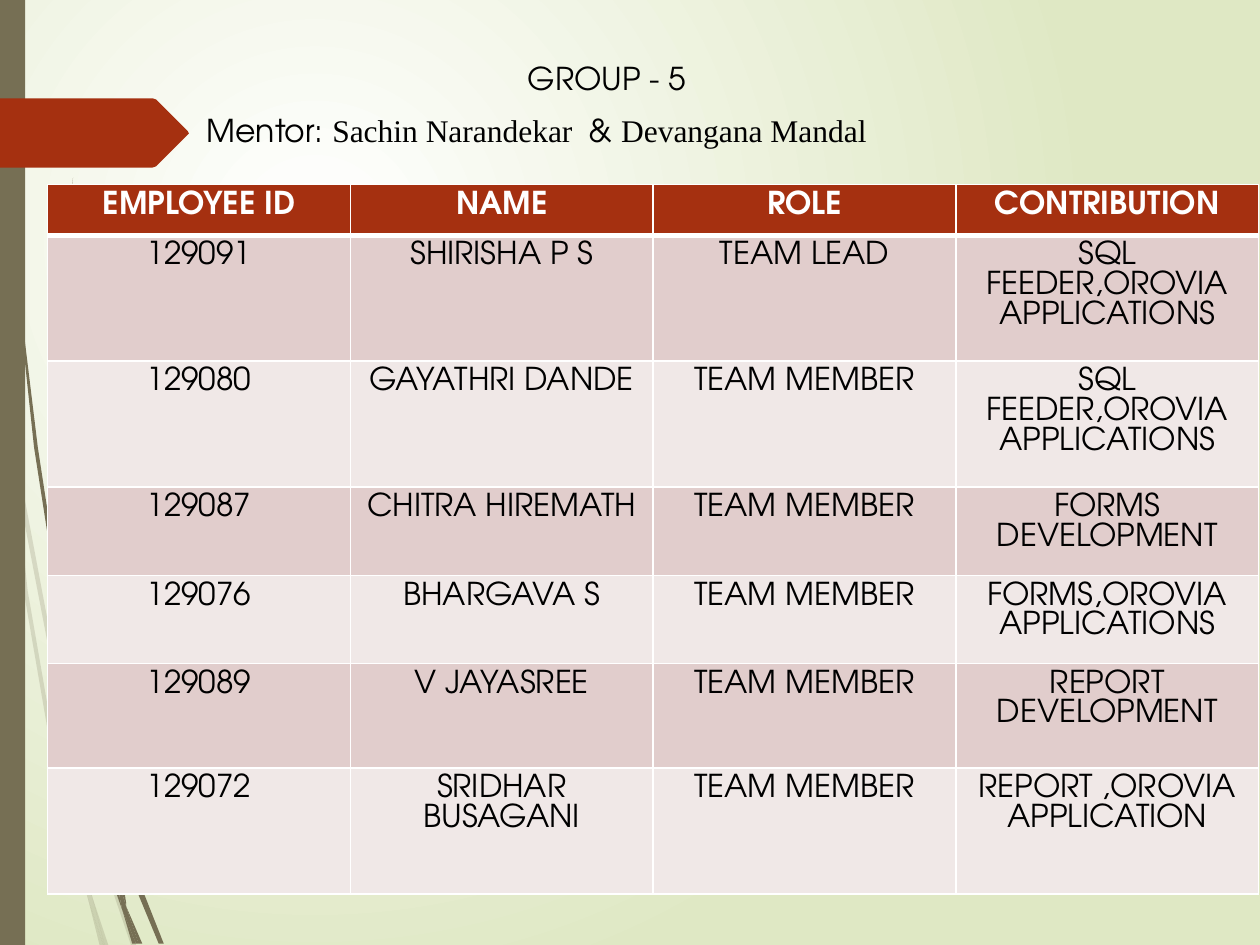
from lxml import etree
from pptx import Presentation
from pptx.dml.color import RGBColor
from pptx.enum.shapes import MSO_SHAPE as Shape
from pptx.enum.text import PP_ALIGN as Align
from pptx.oxml import parse_xml
from pptx.oxml.ns import nsdecls, qn
from pptx.util import Pt

COLORS = {
    "white": "FFFFFF", "black": "000000", "meadow": "DFE8C4", "olive": "766F54",
    "rust": "A53010", "rose": "E1CDCC", "blush": "F0E8E7",
}
SANS, SERIF = "TeX Gyre Adventor", "Times New Roman"
HUNDREDTH_INCH = Pt(0.72)

PALE_WISPS = [
    [(8, 350), (6, 322), (0, 282), (0, 299), (7, 344)],
    [(40, 522), (59, 599), (59, 586), (43, 520), (10, 345), (12, 376)],
    [(64, 607), (61, 596), (61, 610), (85, 694), (104, 750), (108, 750), (88, 692)],
    [(83, 750), (86, 750), (73, 711)],
    [(64, 683), (48, 619), (22, 469), (12, 376), (8, 350), (19, 470), (45, 621),
     (64, 693), (70, 714), (69, 707)],
    [(58, 599), (60, 646), (64, 683), (67, 692), (73, 711), (72, 706), (63, 646),
     (61, 610), (61, 608)],
    [(61, 584), (76, 462), (111, 349), (159, 245), (187, 198), (201, 175), (217, 154),
     (217, 153), (201, 175), (186, 197), (158, 244), (110, 348), (75, 461), (59, 584),
     (59, 586), (61, 596)],
    [(70, 714), (79, 750), (82, 750)],
    [(61, 608), (61, 610), (61, 596), (59, 586), (58, 599)],
    [(67, 692), (65, 683), (69, 707), (70, 714), (82, 750), (83, 750), (73, 711)],
]
DARK_WISPS = [
    [(5, 110), (14, 233), (27, 355), (46, 477), (47, 481), (45, 457), (45, 453),
     (30, 355), (15, 232), (6, 109), (4, 48), (3, 0), (2, 0), (3, 48)],
    [(73, 592), (88, 645), (88, 633), (88, 631), (77, 590), (50, 472), (53, 505)],
    [(94, 649), (91, 641), (91, 656), (109, 708), (126, 749), (130, 749), (113, 706)],
    [(91, 691), (81, 657), (60, 556), (53, 505), (47, 477), (56, 557), (77, 659),
     (92, 708), (97, 722), (96, 717)],
    [(50, 472), (48, 453), (44, 349), (48, 245), (52, 193), (58, 141), (51, 193),
     (47, 245), (43, 349), (45, 449), (49, 472)],
    [(110, 749), (113, 749), (100, 719)],
    [(47, 477), (53, 505), (50, 472), (49, 472), (45, 449), (45, 453)],
    [(91, 633), (103, 552), (131, 476), (169, 406), (191, 374), (203, 359), (216, 344),
     (215, 344), (203, 358), (191, 373), (168, 405), (129, 474), (101, 551), (88, 631),
     (91, 641)],
    [(97, 722), (105, 749), (108, 749)],
    [(88, 645), (91, 691), (96, 706), (100, 719), (100, 716), (91, 656), (90, 651)],
    [(88, 645), (90, 651), (91, 656), (91, 641), (88, 631), (88, 633)],
    [(96, 706), (91, 691), (96, 717), (97, 722), (108, 749), (110, 749), (100, 719)],
]
ARROW_TAG = [(0, 78), (121, 78), (124, 79), (149, 104), (150, 106), (149, 107),
             (124, 132), (121, 133), (0, 133)]

ROWS = [
    ("EMPLOYEE ID", "NAME", "ROLE", "CONTRIBUTION"),
    ("129091", "SHIRISHA P S", "TEAM LEAD", "SQL FEEDER,OROVIA APPLICATIONS"),
    ("129080", "GAYATHRI DANDE", "TEAM MEMBER", "SQL FEEDER,OROVIA APPLICATIONS"),
    ("129087", "CHITRA HIREMATH", "TEAM MEMBER", "FORMS DEVELOPMENT"),
    ("129076", "BHARGAVA S", "TEAM MEMBER", "FORMS,OROVIA APPLICATIONS"),
    ("129089", "V JAYASREE", "TEAM MEMBER", "REPORT DEVELOPMENT"),
    ("129072", "SRIDHAR BUSAGANI", "TEAM MEMBER", "REPORT ,OROVIA APPLICATION"),
]
ROW_HEIGHTS = [29, 72, 72, 50.4, 50.4, 59.8, 72]
COLUMN_WIDTH = 173

HEADINGS = [
    (294.5, 30.2, 185, [("GROUP - 5", SANS)]),
    (110.9, 59.8, 600, [("Mentor: ", SANS), ("Sachin Narandekar  ", SERIF),
                        ("& ", SANS), ("Devangana Mandal", SERIF)]),
]


def paint(shape, color):
    shape.shadow.inherit = False
    shape.fill.solid()
    shape.fill.fore_color.rgb = RGBColor.from_string(COLORS[color])
    shape.line.fill.background()


def draw_outline(shapes, points, color):
    builder = shapes.build_freeform(*points[0], scale=HUNDREDTH_INCH)
    builder.add_line_segments(points[1:], close=True)
    outline = builder.convert_to_shape()
    paint(outline, color)
    return outline


deck = Presentation()
deck.slide_width, deck.slide_height = Pt(720), Pt(540)
page = deck.slides.add_slide(deck.slide_layouts[6])

backdrop = page.background.fill
backdrop.gradient()
for stop, color in zip(backdrop.gradient_stops, ("white", "meadow")):
    stop.color.rgb = RGBColor.from_string(COLORS[color])
gradient = page.element.find(".//" + qn("a:gradFill"))
gradient.replace(gradient.find(qn("a:lin")), parse_xml(
    f'<a:path {nsdecls("a")} path="circle">'
    '<a:fillToRect l="50000" t="50000" r="100000" b="100000"/></a:path>'))

for wisps, opacity in ((PALE_WISPS, 20), (DARK_WISPS, 100)):
    group = page.shapes.add_group_shape()
    for points in wisps:
        wisp = draw_outline(group.shapes, points, "olive")
        if opacity < 100:
            tint = wisp.element.spPr.find(qn("a:solidFill"))[0]
            etree.SubElement(tint, qn("a:alpha"), val=str(opacity * 1000))

side_bar = page.shapes.add_shape(Shape.RECTANGLE, 0, 0, Pt(14.4), Pt(540))
paint(side_bar, "olive")
draw_outline(page.shapes, ARROW_TAG, "rust")

for left, top, width, spans in HEADINGS:
    box = page.shapes.add_textbox(Pt(left), Pt(top), Pt(width), Pt(28.8))
    box.text_frame.word_wrap = True
    para = box.text_frame.paragraphs[0]
    para.font.size = Pt(18)
    para.font.color.rgb = RGBColor.from_string(COLORS["black"])
    for text, font in spans:
        span = para.add_run()
        span.text = text
        span.font.name = font

table = page.shapes.add_table(
    len(ROWS), len(ROWS[0]), Pt(27.2), Pt(105.4),
    Pt(COLUMN_WIDTH * len(ROWS[0])), Pt(sum(ROW_HEIGHTS))).table
for column in table.columns:
    column.width = Pt(COLUMN_WIDTH)
for row_index, (texts, height) in enumerate(zip(ROWS, ROW_HEIGHTS)):
    table.rows[row_index].height = Pt(height)
    header = row_index == 0
    fill = "rust" if header else ("blush", "rose")[row_index % 2]
    for column_index, text in enumerate(texts):
        cell = table.cell(row_index, column_index)
        cell.text = text
        para = cell.text_frame.paragraphs[0]
        para.alignment = Align.CENTER
        para.line_spacing = Pt(16.9)
        para.font.size = Pt(18)
        para.font.name = SANS
        para.font.bold = header
        para.font.color.rgb = RGBColor.from_string(COLORS["white" if header else "black"])
        properties = cell._tc.get_or_add_tcPr()
        for side in "LRTB":
            thick = (header and side == "B") or (row_index == 1 and side == "T")
            properties.append(parse_xml(
                f'<a:ln{side} {nsdecls("a")} w="{Pt(3 if thick else 1)}"><a:solidFill>'
                f'<a:srgbClr val="{COLORS["white"]}"/></a:solidFill></a:ln{side}>'))
        cell.fill.solid()
        cell.fill.fore_color.rgb = RGBColor.from_string(COLORS[fill])

deck.save("out.pptx")
